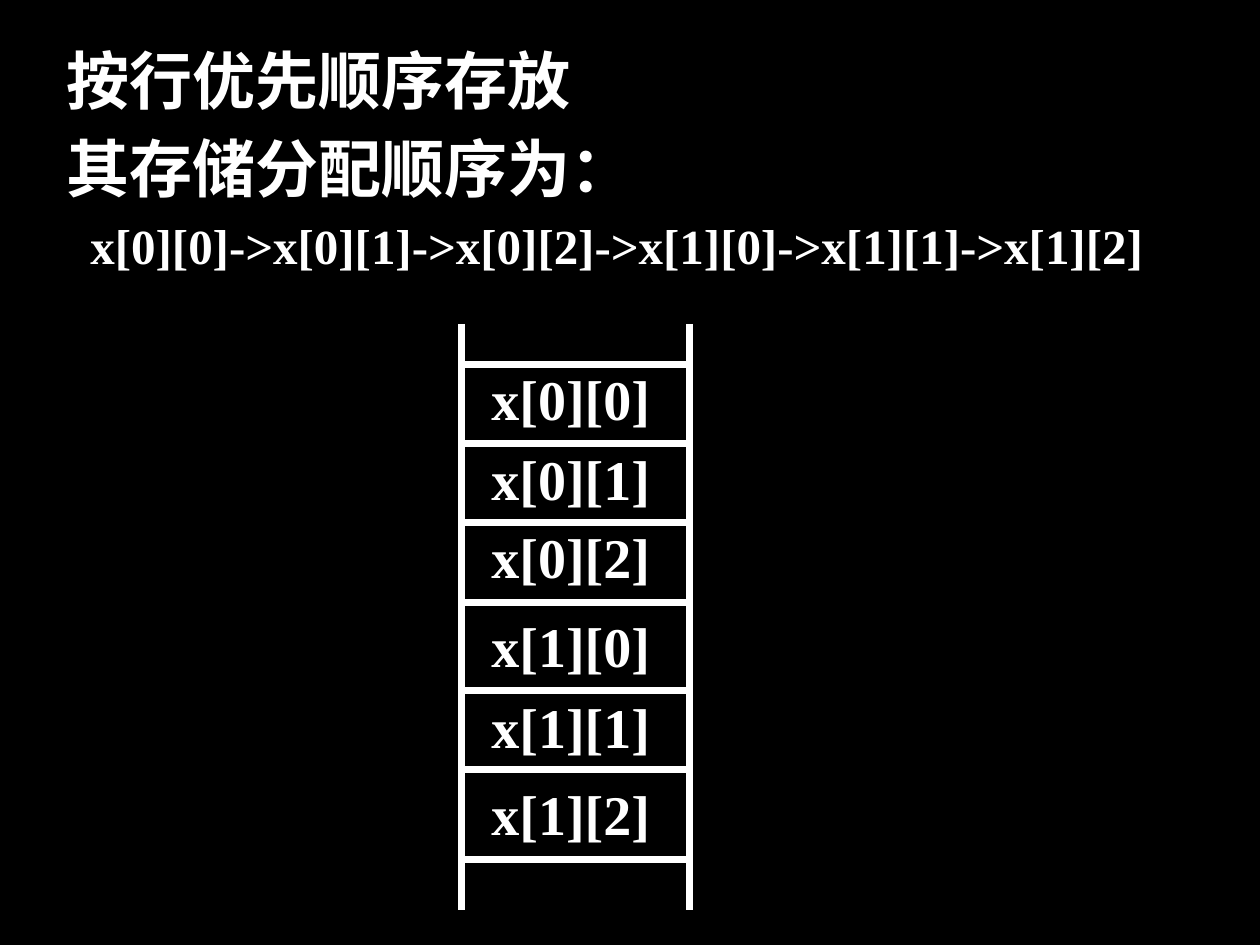
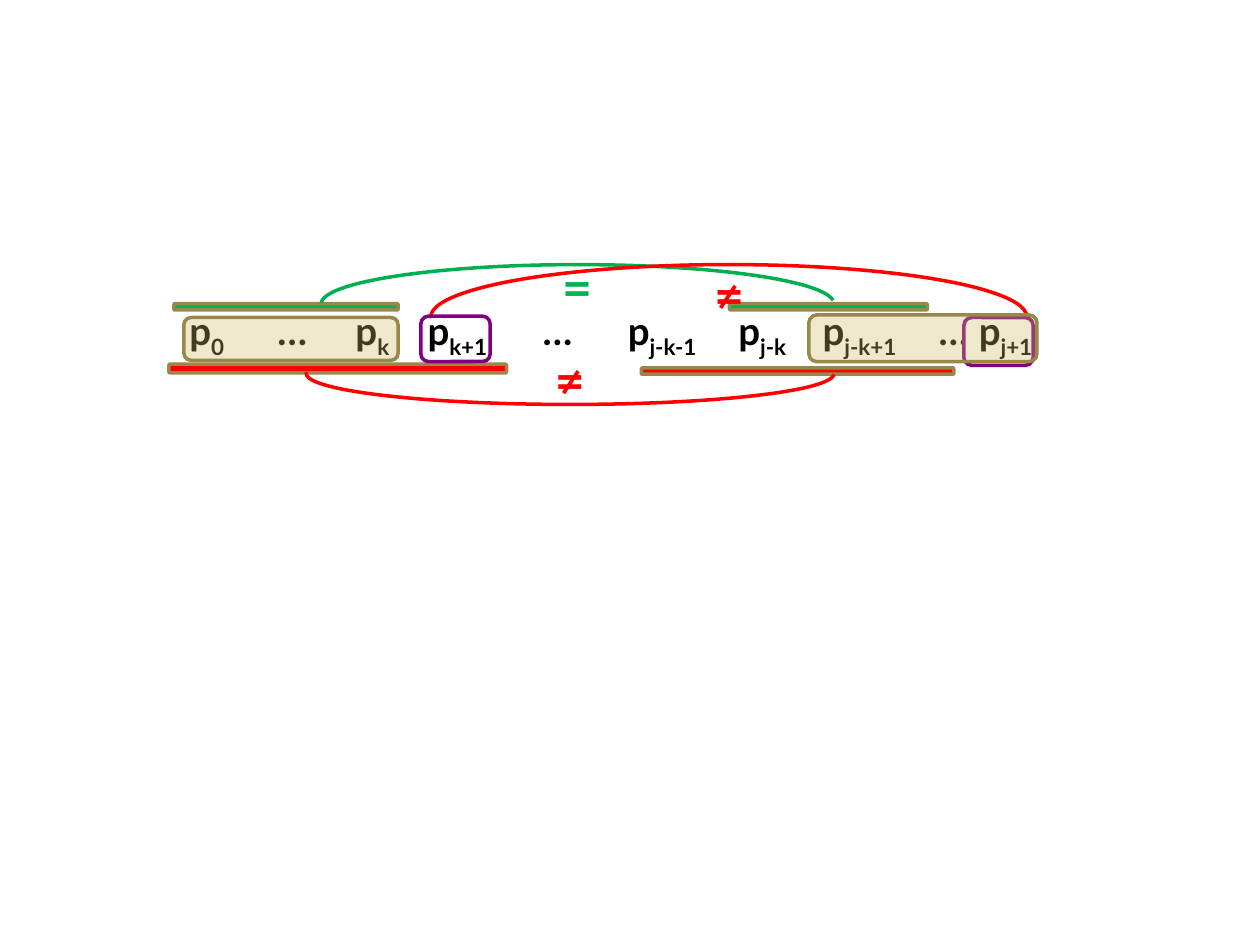
from lxml import etree
from pptx import Presentation
from pptx import util as u
from pptx.dml.color import RGBColor
from pptx.enum import shapes, text
from pptx.oxml import ns

Inches, Pt = u.Inches, u.Pt
SHAPE = shapes.MSO_SHAPE

COLORS = {"black": "000000", "white": "FFFFFF", "green": "00B050", "red": "FF0000",
          "olive": "98894B", "sand": "CEB966", "purple": "800080"}

# Slide 1: (text, size, space before, first-line indent)
STORAGE_TEXT = [
    ("按行优先顺序存放", 36, 0, -0.67),
    ("其存储分配顺序为：", 36, 7, -0.67),
    ("x[0][0]->x[0][1]->x[0][2]->x[1][0]->x[1][1]->x[1][2]", 28, 6, -0.48),
]
HANGING = 0.67
# Memory column: label tops and the rules between cells
LABEL_TOPS = [2.89, 3.53, 4.15, 4.85, 5.5, 6.19]
RULES = [2.89, 3.52, 4.15, 4.78, 5.48, 6.11, 6.82]
RAIL_LEFT, RAIL_RIGHT, RAIL_TOP, RAIL_BOTTOM = 3.66, 5.47, 2.57, 7.22
ROW_LENGTH = 3

# Slide 2: (base, subscript, column width, centred)
PATTERN = [
    ("p", "0", 0.68, True), ("…", "", 0.68, True), ("p", "k", 0.59, True),
    ("p", "k+1", 0.76, True), ("…", "", 0.83, True), ("p", "j-k-1", 0.83, True),
    ("p", "j-k", 0.76, True), ("p", "j-k+1", 0.92, False), ("…", "", 0.32, False),
    ("p", "j+1", 0.84, False), ("", "", 0.73, False),
]
PATTERN_AT = (1.3, 2.39, 0.47)
# Rounded marks: (box, fill, line, opacity in percent)
BARS = [
    ((1.38, 2.41, 1.78, 0.05), "green", "olive", 100),
    ((5.79, 2.41, 1.57, 0.05), "green", "olive", 100),
    ((5.09, 2.92, 2.48, 0.05), "red", "olive", 100),
    ((1.34, 2.89, 2.68, 0.07), "red", "olive", 100),
]
NEXT_CHARS = [
    ((3.34, 2.51, 0.55, 0.36), None, "purple", 100),
    ((7.65, 2.52, 0.55, 0.38), None, "purple", 100),
]
MATCHES = [
    ((1.46, 2.52, 1.7, 0.34), "sand", "olive", 32),
    ((6.42, 2.5, 1.81, 0.37), "sand", "olive", 32),
]
# Comparison arcs: (box, symbol, colour, rotation, start and end angle)
ARCS = [
    ((2.55, 2.1, 4.07, 0.62), "=", "green", 0, (108.1, 215.55)),
    ((2.43, 2.72, 4.19, 0.49), "≠", "red", 180, (108.1, 0.17)),
    ((3.42, 2.1, 4.73, 0.83), "≠", "red", 0, (107.86, 0.24)),
]


def rgb(name):
    return RGBColor.from_string(COLORS[name])


def add_slide(prs, background):
    s = prs.slides.add_slide(prs.slide_layouts[6])
    s.background.fill.solid()
    s.background.fill.fore_color.rgb = rgb(background)
    return s


def add_run(p, content, size, font, color, subscript=False):
    r = p.add_run()
    r.text = content
    r.font.size, r.font.name, r.font.bold = Pt(size), font, True
    r.font.color.rgb = rgb(color)
    if subscript:
        r.font._element.set("baseline", "-25000")


def add_textbox(s, box, inset):
    tf = s.shapes.add_textbox(*map(Inches, box)).text_frame
    tf.word_wrap = True
    tf.margin_left = tf.margin_right = Inches(inset)
    tf.margin_top = tf.margin_bottom = Inches(inset / 2)
    return tf


def add_line(s, x1, y1, x2, y2):
    c = s.shapes.add_connector(shapes.MSO_CONNECTOR.STRAIGHT,
                               *map(Inches, (x1, y1, x2, y2)))
    c.line.color.rgb = rgb("white")
    c.line.width = Pt(4)
    etree.SubElement(c._element.spPr, ns.qn("a:effectLst"))


def add_outlined(s, kind, box, line):
    sp = s.shapes.add_shape(kind, *map(Inches, box))
    sp.shadow.inherit = False
    sp.fill.background()
    sp.line.color.rgb = rgb(line)
    sp.line.width = Pt(2)
    return sp


def add_mark(s, box, fill, line, opacity):
    sp = add_outlined(s, SHAPE.ROUNDED_RECTANGLE, box, line)
    if fill:
        sp.fill.solid()
        sp.fill.fore_color.rgb = rgb(fill)
    if opacity < 100:
        color = sp._element.spPr.find(ns.qn("a:solidFill"))[0]
        etree.SubElement(color, ns.qn("a:alpha"), val=str(opacity * 1000))


def add_arc(s, box, symbol, color, rotation, angles):
    sp = add_outlined(s, SHAPE.ARC, box, color)
    sp.rotation = rotation
    for i, angle in enumerate(angles):
        sp.adjustments[i] = angle
    tf = sp.text_frame
    tf.vertical_anchor = text.MSO_ANCHOR.MIDDLE
    p = tf.paragraphs[0]
    p.alignment = text.PP_ALIGN.CENTER
    add_run(p, symbol, 28, "Cambria", color)


def build_storage(prs):
    s = add_slide(prs, "black")
    # Heading and storage order
    tf = add_textbox(s, (0.43, 0.28, 9.23, 2.2), 0.1)
    for i, (content, size, before, indent) in enumerate(STORAGE_TEXT):
        p = tf.add_paragraph() if i else tf.paragraphs[0]
        pPr = p._p.get_or_add_pPr()
        pPr.set("marL", str(Inches(HANGING)))
        pPr.set("indent", str(Inches(indent)))
        if before:
            p.space_before = Pt(before)
        add_run(p, content, size, "Times New Roman", "white")

    # Memory column
    for x in (RAIL_LEFT, RAIL_RIGHT):
        add_line(s, x, RAIL_TOP, x, RAIL_BOTTOM)
    for y in RULES:
        add_line(s, RAIL_LEFT, y, RAIL_RIGHT, y)
    for i, top in enumerate(LABEL_TOPS):
        row, col = divmod(i, ROW_LENGTH)
        tf = add_textbox(s, (3.9, top, 1.42, 0.53), 0)
        add_run(tf.paragraphs[0], f"x[{row}][{col}]", 32, "Times New Roman", "white")


def build_pattern(prs):
    s = add_slide(prs, "white")
    # Pattern characters
    left, top, height = PATTERN_AT
    width = sum(column[2] for column in PATTERN)
    table = s.shapes.add_table(1, len(PATTERN),
                               *map(Inches, (left, top, width, height))).table
    table.first_row = table.horz_banding = False
    for i, (base, sub, column_width, centred) in enumerate(PATTERN):
        table.columns[i].width = Inches(column_width)
        cell = table.cell(0, i)
        cell.fill.background()
        p = cell.text_frame.paragraphs[0]
        if centred:
            p.alignment = text.PP_ALIGN.CENTER
        if base:
            add_run(p, base, 22, "Lato", "black")
        if sub:
            add_run(p, sub, 22, "Lato", "black", subscript=True)

    # Compared ranges, arcs and matched parts
    for mark in BARS:
        add_mark(s, *mark)
    for arc in ARCS:
        add_arc(s, *arc)
    for mark in NEXT_CHARS + MATCHES:
        add_mark(s, *mark)


def main():
    prs = Presentation()
    prs.slide_width, prs.slide_height = Inches(10), Inches(7.5)
    build_storage(prs)
    build_pattern(prs)
    prs.save("out.pptx")


if __name__ == "__main__":
    main()
